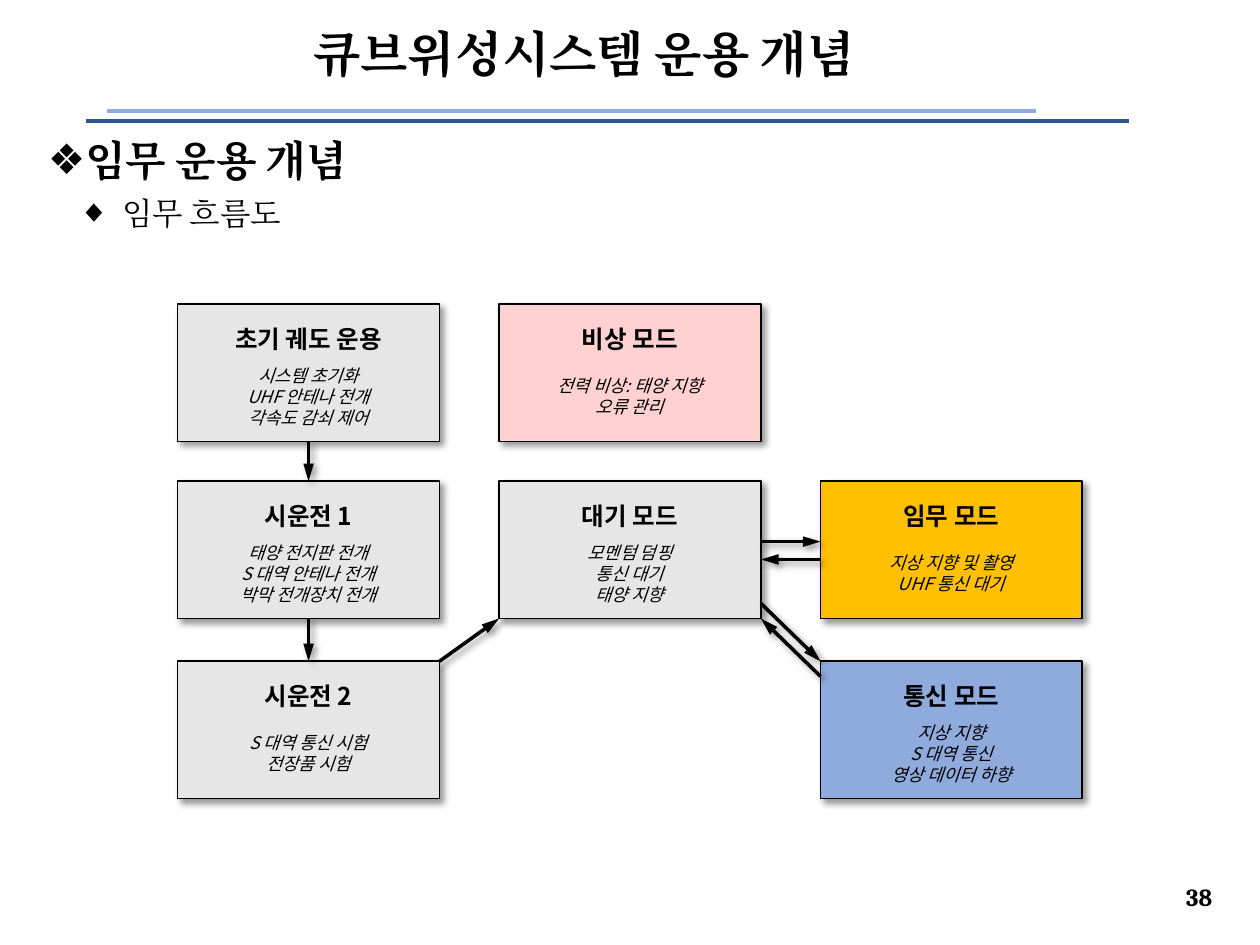
from lxml.etree import SubElement
from pptx import Presentation
from pptx.dml.color import RGBColor
from pptx.enum.shapes import MSO_CONNECTOR, MSO_SHAPE
from pptx.enum.text import MSO_ANCHOR, MSO_AUTO_SIZE, PP_ALIGN
from pptx.oxml.ns import qn
from pptx.util import Cm, Pt

SERIF, SANS = "Cambria", "Noto Sans CJK KR"
BLACK, GREY, PINK, AMBER, BLUE = "000000", "E7E6E6", "FFD1D1", "FFC000", "8FAADC"
BOX_WIDTH, BOX_HEIGHT = 5.28, 2.77
COLUMN_STEP = 6.48
ROW_TOPS = (0, 3.57, 7.2)
BOTTOM, TOP = 2, 0

# key: (column, row, fill, heading, details)
MODES = {
    "orbit": (0, 0, GREY, "초기 궤도 운용", ["시스템 초기화", "UHF 안테나 전개", "각속도 감쇠 제어"]),
    "emergency": (1, 0, PINK, "비상 모드", ["전력 비상: 태양 지향", "오류 관리"]),
    "trial 1": (0, 1, GREY, "시운전 1", ["태양 전지판 전개", "S 대역 안테나 전개", "박막 전개장치 전개"]),
    "standby": (1, 1, GREY, "대기 모드", ["모멘텀 덤핑", "통신 대기", "태양 지향"]),
    "mission": (2, 1, AMBER, "임무 모드", ["지상 지향 및 촬영", "UHF 통신 대기"]),
    "trial 2": (0, 2, GREY, "시운전 2", ["S 대역 통신 시험", "전장품 시험"]),
    "link": (2, 2, BLUE, "통신 모드", ["지상 지향", "S 대역 통신", "영상 데이터 하향"]),
}
JOINED = [("orbit", "trial 1"), ("trial 1", "trial 2")]
# start box, its (x, y) share; end box, its (x, y) share
FREE = [
    ("trial 2", (1, 0), "standby", (0, 1)),
    ("standby", (1, 0.44), "mission", (0, 0.44)),
    ("mission", (0, 0.57), "standby", (1, 0.57)),
    ("standby", (1, 0.89), "link", (0, 0)),
    ("link", (0, 0.11), "standby", (1, 1)),
]


def color(value):
    return RGBColor.from_string(value)


def write(paragraph, text, size=10, font=SANS, bold=False, italic=False, align=PP_ALIGN.CENTER):
    paragraph.alignment = align
    run = paragraph.add_run()
    run.text = text
    run.font.size = Pt(size)
    run.font.bold = bold
    run.font.italic = italic
    run.font.color.rgb = color(BLACK)
    run.font.name = font
    SubElement(run.font._element, qn("a:ea"), typeface=font)


def add_text(slide, lines, left, top, width, height, spacing=None, **style):
    frame = slide.shapes.add_textbox(Cm(left), Cm(top), Cm(width), Cm(height)).text_frame
    frame.word_wrap = True
    frame.vertical_anchor = MSO_ANCHOR.MIDDLE
    frame.margin_top = frame.margin_bottom = 0
    for index, line in enumerate(lines):
        paragraph = frame.add_paragraph() if index else frame.paragraphs[0]
        if spacing:
            paragraph.line_spacing = Pt(spacing)
        write(paragraph, line, **style)


def set_effects(shape, shadow):
    """Give the shape a soft drop shadow, or no effect at all."""
    effects = SubElement(shape._element.spPr, qn("a:effectLst"))
    if shadow:
        outer = SubElement(effects, qn("a:outerShdw"), blurRad=str(Pt(4)), dist=str(Pt(3)),
                           dir="2700000", algn="tl", rotWithShape="0")
        tint = SubElement(outer, qn("a:srgbClr"), val=BLACK)
        SubElement(tint, qn("a:alpha"), val="40000")


def add_line(slide, start, end, line_color, width, arrow=False):
    line = slide.shapes.add_connector(MSO_CONNECTOR.STRAIGHT, *start, *end)
    line.line.color.rgb = color(line_color)
    line.line.width = Pt(width)
    if arrow:
        SubElement(line.line._get_or_add_ln(), qn("a:tailEnd"), type="triangle", w="med", len="lg")
    set_effects(line, shadow=arrow)
    return line


def place(shape, left, top, width, height):
    shape.left, shape.top, shape.width, shape.height = Cm(left), Cm(top), Cm(width), Cm(height)


def add_header(slide, left, top, width, height):
    title = slide.shapes.title
    place(title, left, top, width, height)
    title.text_frame.vertical_anchor = MSO_ANCHOR.MIDDLE
    title.text_frame.auto_size = MSO_AUTO_SIZE.NONE
    paragraph = title.text_frame.paragraphs[0]
    paragraph.line_spacing = 0.9
    write(paragraph, "큐브위성시스템 운용 개념", size=28, font=SERIF, bold=True)
    for x_start, x_end, y, shade in ((-0.73, 20.3, 2.24, "2F5597"), (-0.3, 18.42, 2.04, BLUE)):
        add_line(slide, (Cm(left + x_start), Cm(top + y)), (Cm(left + x_end), Cm(top + y)), shade, 2.25)


def add_outline(slide, left, top, width, height):
    body = slide.placeholders[1]
    place(body, left, top, width, height)
    frame = body.text_frame
    frame.auto_size = MSO_AUTO_SIZE.NONE
    items = [("임무 운용 개념", "❖", 24, True, 0.64, -0.99, 0),
             ("임무 흐름도", "◆", 18, False, 1.5, -0.89, 5)]
    for level, (text, bullet, size, bold, margin, indent, before) in enumerate(items):
        paragraph = frame.add_paragraph() if level else frame.paragraphs[0]
        paragraph.level = level
        paragraph.space_before = Pt(before)
        properties = paragraph._p.get_or_add_pPr()
        properties.set("marL", str(Cm(margin)))
        properties.set("indent", str(Cm(indent)))
        SubElement(properties, qn("a:buChar"), char=bullet)
        write(paragraph, text, size=size, font=SERIF, bold=bold, align=PP_ALIGN.LEFT)


def add_mode(slide, left, top, fill, heading, details):
    box = slide.shapes.add_shape(MSO_SHAPE.RECTANGLE, Cm(left), Cm(top), Cm(BOX_WIDTH), Cm(BOX_HEIGHT))
    box.fill.solid()
    box.fill.fore_color.rgb = color(fill)
    box.line.color.rgb = color(BLACK)
    box.line.width = Pt(1)
    set_effects(box, shadow=True)
    add_text(slide, [heading], left, top + 0.18, BOX_WIDTH, 1.04, size=14, bold=True)
    add_text(slide, details, left, top + 1.22, BOX_WIDTH, 1.27, spacing=12, italic=True)
    return box


def spot(box, share):
    """Point at the given share of the box's width and height."""
    return round(box.left + box.width * share[0]), round(box.top + box.height * share[1])


def add_flow(slide, left, top):
    boxes = {key: add_mode(slide, left + column * COLUMN_STEP, top + ROW_TOPS[row], *content)
             for key, (column, row, *content) in MODES.items()}
    for source, target in JOINED:
        arrow = add_line(slide, spot(boxes[source], (0.5, 1)), spot(boxes[target], (0.5, 0)),
                         BLACK, 2, arrow=True)
        arrow.begin_connect(boxes[source], BOTTOM)
        arrow.end_connect(boxes[target], TOP)
    for source, start, target, end in FREE:
        add_line(slide, spot(boxes[source], start), spot(boxes[target], end), BLACK, 2, arrow=True)


def main():
    presentation = Presentation()
    presentation.slide_width, presentation.slide_height = Cm(25.4), Cm(19.05)
    slide = presentation.slides.add_slide(presentation.slide_layouts[1])
    add_header(slide, 2.46, 0.2, 18.62, 1.9)
    add_outline(slide, 0.71, 2.59, 23.98, 14.94)
    add_flow(slide, 3.58, 6.13)
    add_text(slide, ["38"], 21.97, 17.58, 2.72, 0.99, size=14, font=SERIF, bold=True, align=PP_ALIGN.RIGHT)
    presentation.save("out.pptx")


if __name__ == "__main__":
    main()
